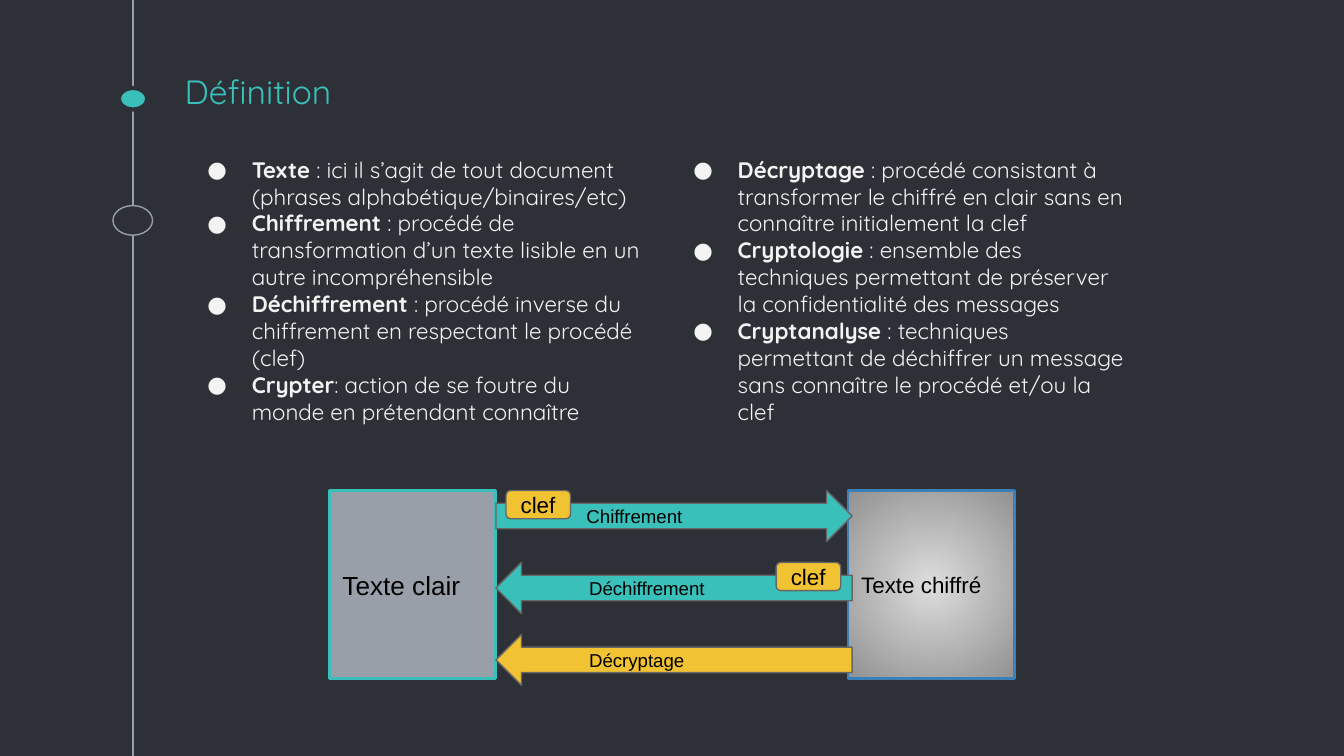
from lxml import etree
from pptx import Presentation
from pptx import util as u
from pptx.dml.color import RGBColor
from pptx.enum import shapes, text
from pptx.oxml.ns import qn

PX = 4572
NIGHT = RGBColor(0x2E, 0x30, 0x37)
TEAL = RGBColor(0x39, 0xC0, 0xBA)
SLATE = RGBColor(0x99, 0x9F, 0xA9)
WHITE = RGBColor(0xF3, 0xF3, 0xF3)
BLACK = RGBColor(0x00, 0x00, 0x00)
YELLOW = RGBColor(0xF1, 0xC2, 0x32)
BLUE = RGBColor(0x3A, 0x81, 0xBA)
GREY = RGBColor(0x66, 0x66, 0x66)
PALE = RGBColor(0xDD, 0xDD, 0xDD)
STEEL = RGBColor(0x91, 0x91, 0x91)
SHAPE = shapes.MSO_SHAPE

LEFT_TERMS = [
    ("Texte", " : ici il s’agit de tout document (phrases alphabétique/binaires/etc)"),
    ("Chiffrement", " : procédé de transformation d’un texte lisible en un autre incompréhensible"),
    ("Déchiffrement", " : procédé inverse du chiffrement en respectant le procédé (clef)"),
    ("Crypter", ": action de se foutre du monde en prétendant connaître"),
]
RIGHT_TERMS = [
    ("Décryptage", " : procédé consistant à transformer le chiffré en clair sans en connaître initialement la clef"),
    ("Cryptologie", " : ensemble des techniques permettant de préserver la confidentialité des messages"),
    ("Cryptanalyse", " : techniques permettant de déchiffrer un message sans connaître le procédé et/ou la clef"),
]


class Board:
    heading_font = "Quicksand"
    label_font = "Arial"

    def __init__(self, slide):
        self.slide = slide
        slide.background.fill.solid()
        slide.background.fill.fore_color.rgb = NIGHT

    def lengths(self, *values):
        return [u.Emu(value * PX) for value in values]

    def span(self, para, words, font, size, color, bold=False):
        span = para.add_run()
        span.text = words
        span.font.name = font
        span.font.size = u.Pt(size)
        span.font.color.rgb = color
        span.font.bold = bold

    def frame(self, box, anchor, edge=20):
        frame = box.text_frame
        frame.word_wrap = True
        frame.auto_size = text.MSO_AUTO_SIZE.NONE
        frame.vertical_anchor = anchor
        frame.margin_left, frame.margin_right = self.lengths(20, 20)
        frame.margin_top, frame.margin_bottom = self.lengths(edge, edge)
        return frame

    def line(self, x1, y1, x2, y2, color):
        line = self.slide.shapes.add_connector(
            shapes.MSO_CONNECTOR.STRAIGHT, *self.lengths(x1, y1, x2, y2))
        line.line.color.rgb = color
        line.line.width = u.Pt(0.75)
        etree.SubElement(line._element.spPr, qn("a:effectLst"))

    def shape(self, kind, at, fill, edge, width=0.75):
        box = self.slide.shapes.add_shape(kind, *self.lengths(*at))
        box.shadow.inherit = False
        box.fill.solid()
        box.fill.fore_color.rgb = fill
        box.line.color.rgb = edge
        box.line.width = u.Pt(width)
        return box

    def label(self, box, words, size, indent=0, edge=18):
        frame = self.frame(box, text.MSO_ANCHOR.MIDDLE, edge)
        para = frame.paragraphs[0]
        para.alignment = text.PP_ALIGN.LEFT
        para._p.get_or_add_pPr().set("marL", str(indent * PX))
        self.span(para, words, self.label_font, size, BLACK)

    def glow(self, box, center, rim):
        box.fill.gradient()
        for stop, color in zip(box.fill.gradient_stops, (center, rim)):
            stop.color.rgb = color
        gradient = box._element.spPr.find(qn("a:gradFill"))
        gradient.remove(gradient.find(qn("a:lin")))
        circle = etree.SubElement(gradient, qn("a:path"), path="circle")
        etree.SubElement(circle, qn("a:fillToRect"),
                         dict.fromkeys("ltrb", "50000"))

    def title(self, at, words):
        box = self.slide.shapes.add_textbox(*self.lengths(*at))
        frame = self.frame(box, text.MSO_ANCHOR.BOTTOM)
        self.span(frame.paragraphs[0], words, self.heading_font, 18, TEAL)

    def bullet(self, para):
        props = para._p.get_or_add_pPr()
        props.set("marL", str(100 * PX))
        props.set("indent", str(-66 * PX))
        color = etree.SubElement(props, qn("a:buClr"))
        etree.SubElement(color, qn("a:srgbClr"), val=str(WHITE))
        etree.SubElement(props, qn("a:buSzPts"), val="1200")
        etree.SubElement(props, qn("a:buFont"), typeface=self.heading_font)
        etree.SubElement(props, qn("a:buChar"), char="●")

    def definitions(self, at, terms):
        box = self.slide.shapes.add_textbox(*self.lengths(*at))
        frame = self.frame(box, text.MSO_ANCHOR.TOP)
        for index, (term, meaning) in enumerate(terms):
            para = frame.add_paragraph() if index else frame.paragraphs[0]
            self.bullet(para)
            para.line_spacing = u.Pt(14.4)
            self.span(para, term, self.heading_font, 12, WHITE, bold=True)
            self.span(para, meaning, self.heading_font, 12, WHITE)

    def arrow(self, kind, top, fill, words, indent=100):
        box = self.shape(kind, (738, top, 530, 76), fill, GREY)
        self.label(box, words, 10, indent)

    def key(self, left, top):
        box = self.shape(SHAPE.FLOWCHART_ALTERNATE_PROCESS,
                         (left, top, 96, 42), YELLOW, GREY)
        self.label(box, "clef", 12)


def main():
    deck = Presentation()
    deck.slide_width, deck.slide_height = u.Emu(2000 * PX), u.Emu(1125 * PX)
    board = Board(deck.slides.add_slide(deck.slide_layouts[6]))

    board.line(198, 0, 198, 1125, SLATE)
    board.shape(SHAPE.OVAL, (177, 131, 42, 32), TEAL, NIGHT, 2.25)
    board.shape(SHAPE.OVAL, (168, 306, 59, 44), NIGHT, SLATE)

    board.title((255, 109, 1500, 76), "Définition")
    for column, terms in enumerate((LEFT_TERMS, RIGHT_TERMS)):
        board.definitions((255 + 723 * column, 212, 724, 446), terms)

    plain = board.shape(SHAPE.RECTANGLE, (490, 730, 248, 280), SLATE, TEAL, 1.5)
    board.label(plain, "Texte clair", 14, edge=20)
    cipher = board.shape(SHAPE.RECTANGLE, (1262, 730, 248, 280), PALE, BLUE, 1.5)
    board.glow(cipher, PALE, STEEL)
    board.label(cipher, "Texte chiffré", 12, edge=20)

    encrypt_top, decrypt_top, crack_top = (730 + 107 * row for row in range(3))
    board.arrow(SHAPE.LEFT_ARROW, crack_top, YELLOW, "Décryptage")
    board.arrow(SHAPE.LEFT_ARROW, decrypt_top, TEAL, "Déchiffrement")
    board.key(1155, decrypt_top)
    board.arrow(SHAPE.RIGHT_ARROW, encrypt_top, TEAL, "Chiffrement", indent=115)
    board.key(753, encrypt_top)

    deck.save("out.pptx")


if __name__ == "__main__":
    main()
